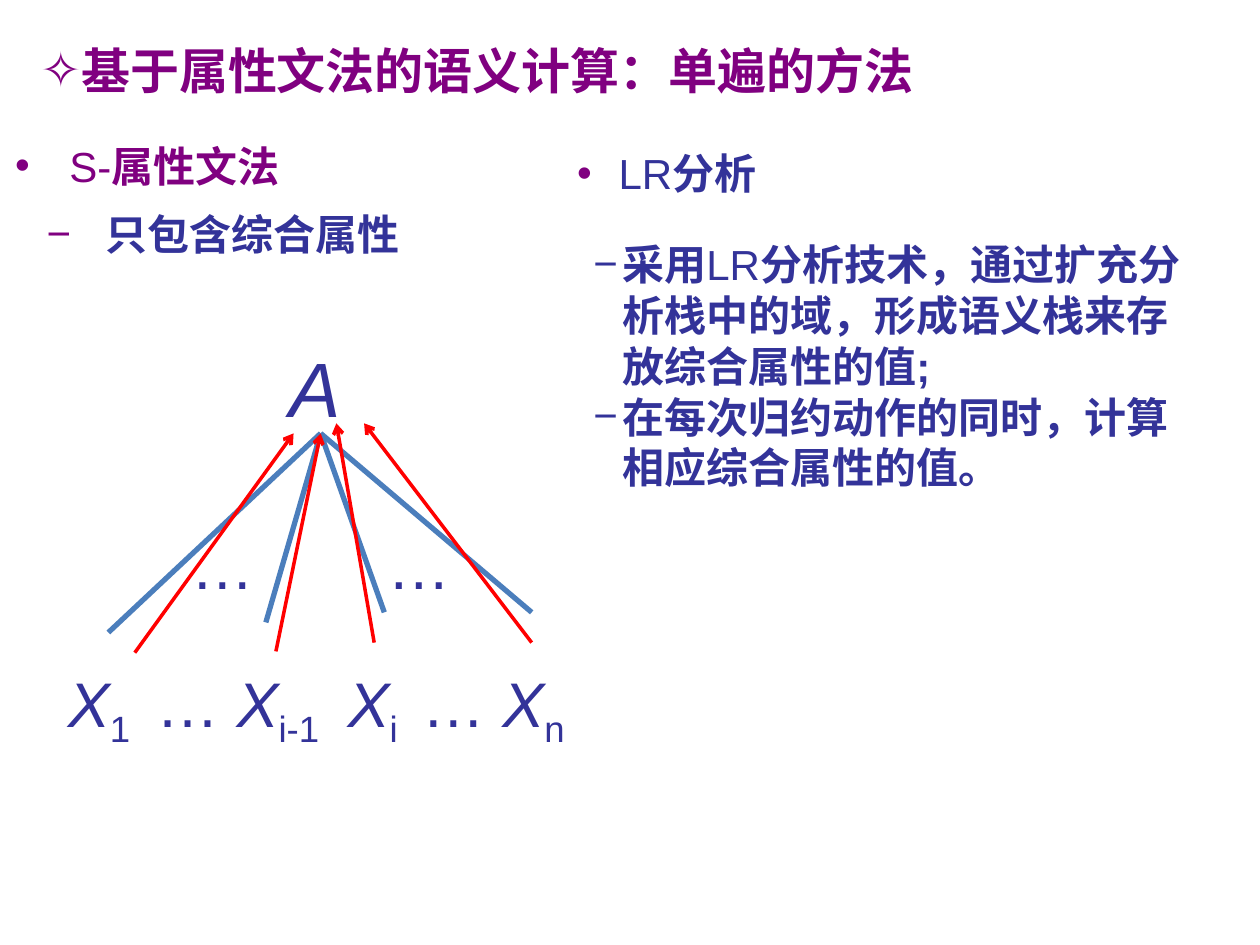
from lxml.etree import SubElement
from pptx import Presentation
from pptx.dml.color import RGBColor as RGB
from pptx.enum.shapes import MSO_CONNECTOR as Link
from pptx.enum.text import MSO_ANCHOR as Anchor, MSO_AUTO_SIZE as Fit, PP_ALIGN as Align
from pptx.oxml.ns import qn
from pptx.util import Inches, Pt

THEME = {
    "purple": RGB(0x80, 0x00, 0x80), "navy": RGB(0x33, 0x33, 0x99),
    "branch": RGB(0x4B, 0x7E, 0xBC), "flow": RGB(0xFF, 0x00, 0x00),
    "title": 28, "body": 24, "symbol": 36, "root": 44,
    "latin": "Arial", "serif": "Times New Roman", "cjk": "Noto Sans CJK SC",
}

deck = Presentation()
deck.slide_width, deck.slide_height = Inches(10), Inches(7.5)
COL, ROW = deck.slide_width / 100, deck.slide_height / 75
slide = deck.slides.add_slide(deck.slide_layouts[3])


def write(paragraph, runs, size, color):
    for text, look in runs:
        run = paragraph.add_run()
        run.text = text
        values = {"size": Pt(THEME[size]), "name": THEME["latin"], "bold": False, "italic": False}
        baseline = look.get("baseline")
        values.update({key: value for key, value in look.items() if key != "baseline"})
        for key, value in values.items():
            setattr(run.font, key, value)
        run.font.color.rgb = THEME[color]
        props = run.font._element
        if baseline:
            props.set("baseline", str(baseline))
        SubElement(props, qn("a:ea")).set("typeface", THEME["cjk"])


def place(part, left, top, width, height, frame_format):
    box = {"left": left * COL, "top": top * ROW, "width": width * COL, "height": height * ROW}
    for key, value in box.items():
        setattr(part, key, int(value))
    margins = {"margin_left": 0, "margin_right": 0, "margin_top": 0, "margin_bottom": 0}
    for key, value in {**margins, "auto_size": Fit.NONE, **frame_format}.items():
        setattr(part.text_frame, key, value)


BOLD, PLAIN = {"bold": True}, {}
heading, grammar, parsing = slide.placeholders
outline = [
    (heading, (3.2, 3.2, 87, 5), "title", [
        ("✧", "purple", "purple", 0, 3.1, 0,
         [("基于属性文法的语义计算：", {"bold": True, "name": THEME["cjk"]}),
          ("单遍的方法", {"bold": True, "name": THEME["serif"]})]),
    ]),
    (grammar, (1.2, 11.1, 32, 10), "body", [
        ("•", "purple", "purple", 0, 4.3, 0, [("S-", PLAIN), ("属性文法", BOLD)]),
        ("−", "purple", "navy", 2.5, 4.7, 10,
         [("只包含综合属性", {"bold": True, "name": THEME["serif"]})]),
    ]),
    (parsing, (45.8, 11.7, 49.3, 28), "body", [
        ("•", "purple", "navy", 0, 3.3, 0, [("LR", PLAIN), ("分析", BOLD)]),
        ("−", "navy", "navy", 1.3, 2.3, 23,
         [("采用", BOLD), ("LR", PLAIN),
          ("分析技术，通过扩充分析栈中的域，形成语义栈来存放综合属性的值;", BOLD)]),
        ("−", "navy", "navy", 1.3, 2.3, 0,
         [("在每次归约动作的同时，计算相应综合属性的值。", BOLD)]),
    ]),
]
for holder, area, size, items in outline:
    place(holder, *area, {"word_wrap": True, "vertical_anchor": Anchor.TOP})
    for index, (mark, mark_color, color, start, hang, gap, runs) in enumerate(items):
        frame = holder.text_frame
        item = frame.add_paragraph() if index else frame.paragraphs[0]
        spacing = {"alignment": Align.LEFT, "line_spacing": Pt(round(THEME[size] * 1.2)),
                   "space_before": Pt(gap), "space_after": Pt(0)}
        for key, value in spacing.items():
            setattr(item, key, value)
        props = item._p.get_or_add_pPr()
        props.set("marL", str(int((start + hang) * COL)))
        props.set("indent", str(int(-hang * COL)))
        tint = SubElement(SubElement(props, qn("a:buClr")), qn("a:srgbClr"))
        tint.set("val", str(THEME[mark_color]))
        SubElement(props, qn("a:buFont")).set("typeface", THEME["latin"])
        SubElement(props, qn("a:buChar")).set("char", mark)
        write(item, runs, size, color)

ITALIC, SUB = {"italic": True}, {"baseline": -25000}
production = [
    ("X", ITALIC), ("1", SUB), ("\t… ", PLAIN), ("X", ITALIC), ("i-1", SUB),
    ("\tX", ITALIC), ("i", SUB), ("\t… ", PLAIN), ("X", ITALIC), ("n", SUB),
]
symbols = [
    ((4.4, 51.7, 44.6, 7.1), Align.LEFT, "symbol", production, (7, 22.2, 28.1)),
    ((14.1, 40.8, 7.1, 7.1), Align.CENTER, "symbol", [("…", PLAIN)], ()),
    ((29.7, 40.8, 7.1, 7.1), Align.CENTER, "symbol", [("…", PLAIN)], ()),
    ((21.9, 26, 7.1, 8.4), Align.CENTER, "root",
     [("A", ITALIC), (" ", {"size": Pt(THEME["body"])})], ()),
]
for area, align, size, runs, stops in symbols:
    node = slide.shapes.add_textbox(0, 0, 0, 0)
    place(node, *area, {"word_wrap": False, "margin_left": int(COL),
                        "margin_right": int(COL), "margin_top": int(ROW)})
    line = node.text_frame.paragraphs[0]
    line.alignment = align
    if stops:
        tabs = SubElement(line._p.get_or_add_pPr(), qn("a:tabLst"))
        for stop in stops:
            tab = SubElement(tabs, qn("a:tab"))
            tab.set("pos", str(int(stop * COL)))
            tab.set("algn", "l")
    write(line, runs, size, "navy")
root = node

APEX = (25.4, 34.4)
edges = [(APEX, foot, "branch", 3)
         for foot in ((8.6, 50.2), (21.1, 49.4), (30.5, 48.6), (42.2, 48.6))]
edges += [(child, target, "flow", 2) for child, target in (
    ((10.7, 51.8), (23.3, 34.4)), ((21.9, 51.7), APEX),
    ((42.2, 51), (28.9, 33.6)), ((29.7, 51), (26.7, 33.6)))]
for start, end, color, weight in edges:
    edge = slide.shapes.add_connector(
        Link.STRAIGHT, int(start[0] * COL), int(start[1] * ROW),
        int(end[0] * COL), int(end[1] * ROW))
    edge.line.color.rgb = THEME[color]
    edge.line.width = Pt(weight)
    if start == APEX:
        edge.begin_connect(root, 2)
    if end == APEX:
        edge.end_connect(root, 2)
    if color == "flow":
        SubElement(edge.line._get_or_add_ln(), qn("a:tailEnd")).set("type", "arrow")
    SubElement(edge._element.spPr, qn("a:effectLst"))

deck.save("out.pptx")
